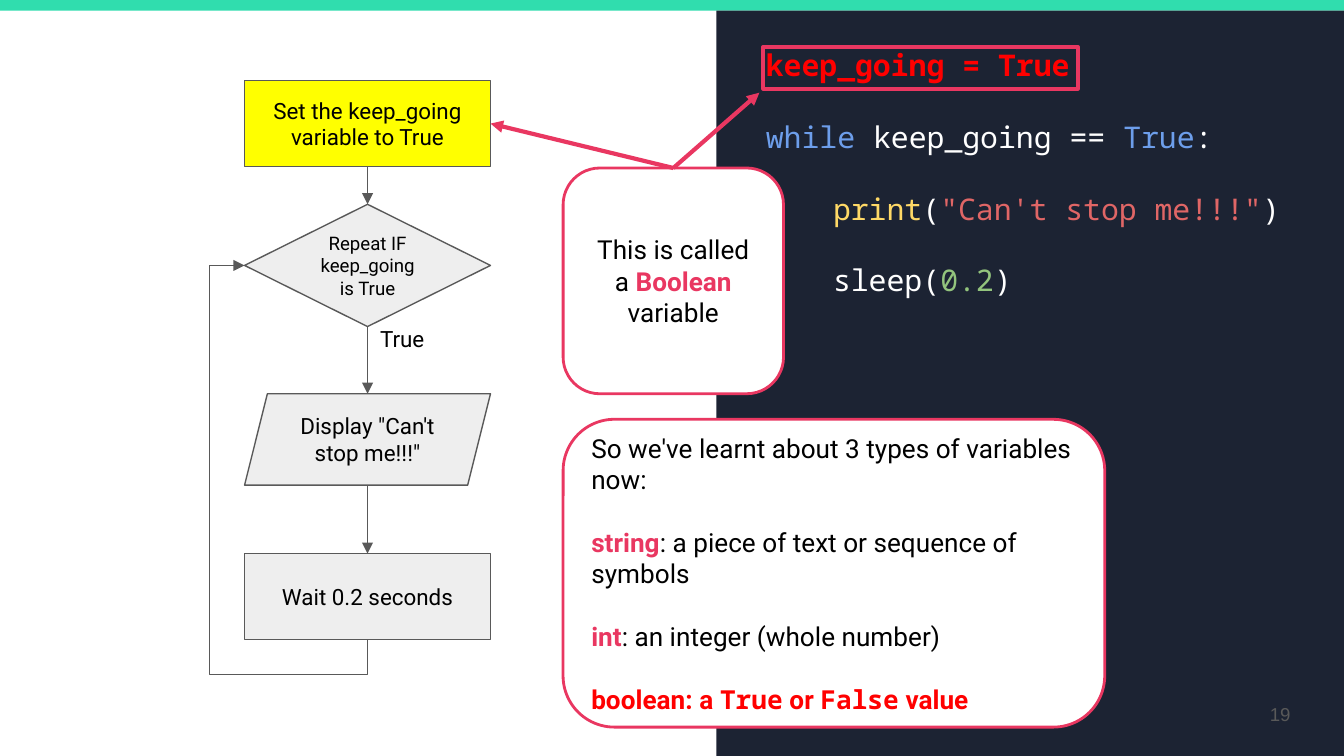
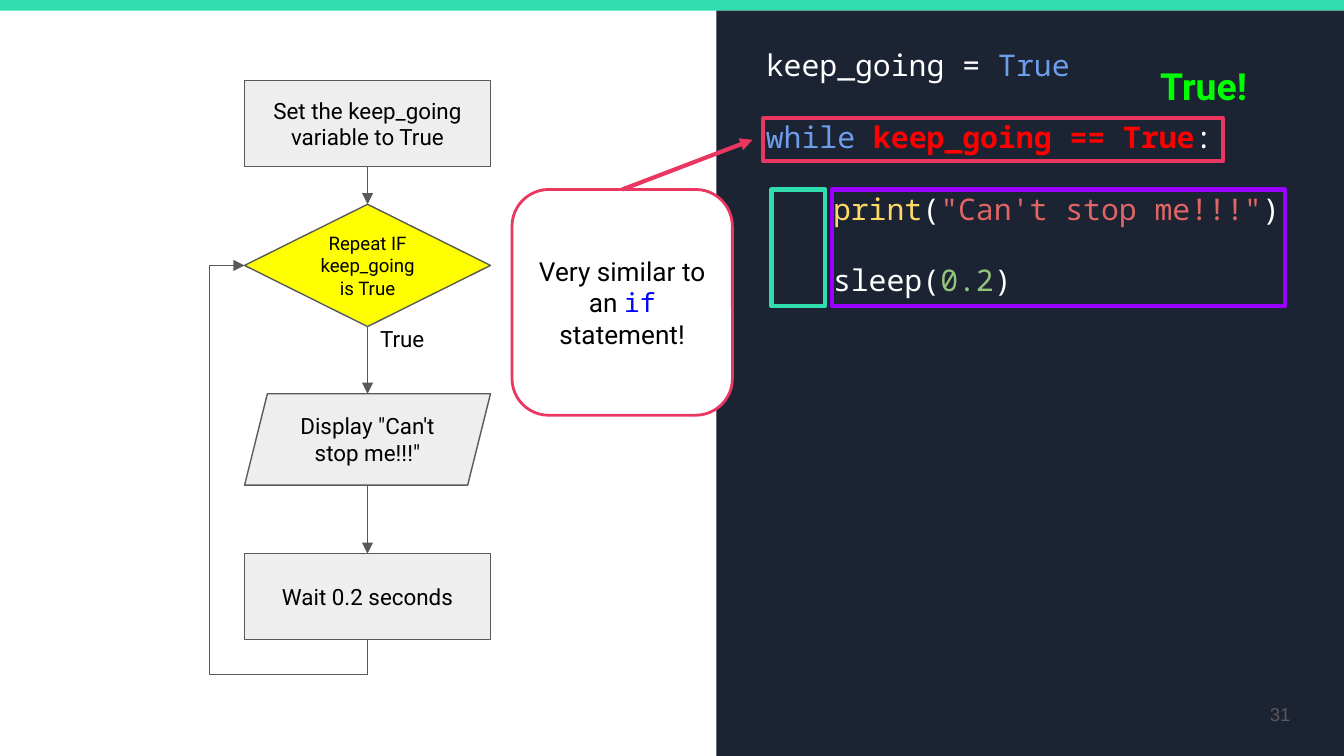
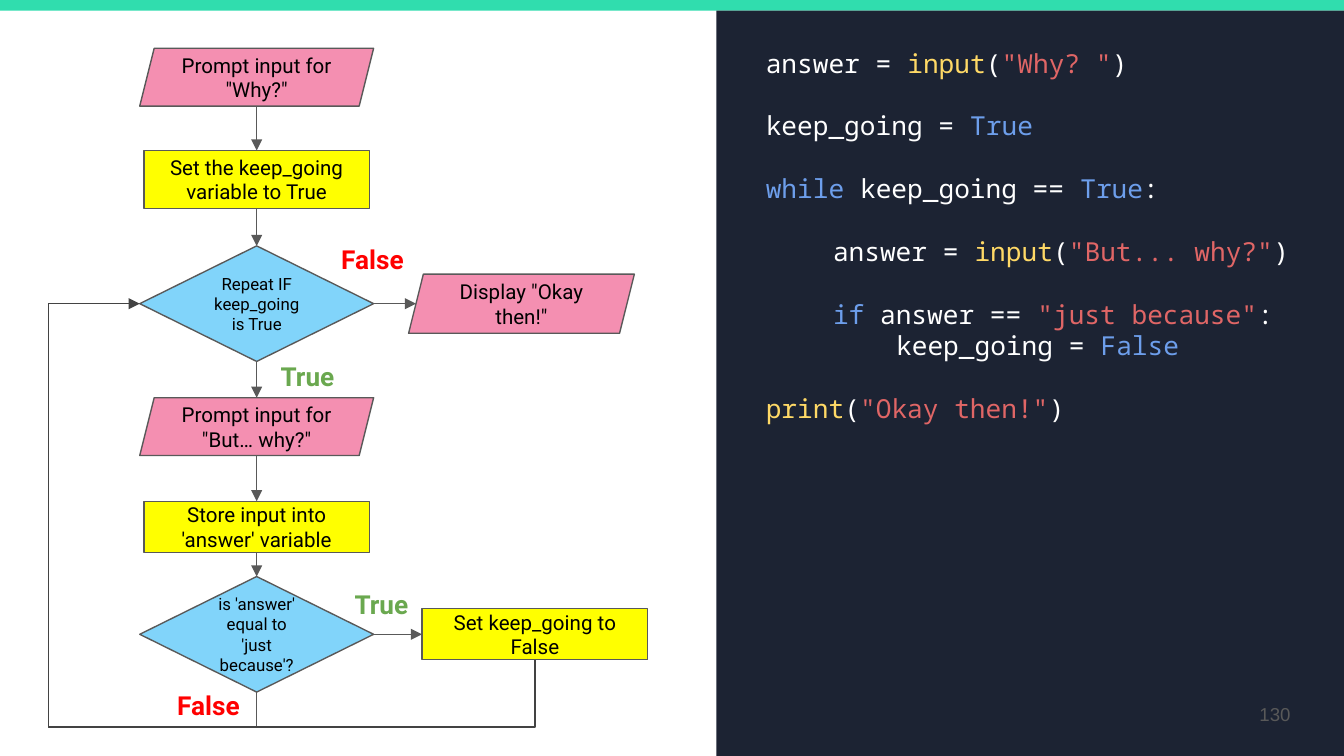
from dataclasses import dataclass
from functools import partial
from itertools import pairwise

from lxml import etree
from pptx import Presentation
from pptx.dml.color import RGBColor
from pptx.enum.shapes import MSO_CONNECTOR, MSO_SHAPE
from pptx.enum.text import MSO_ANCHOR, PP_ALIGN
from pptx.oxml.ns import qn
from pptx.util import Inches, Pt

RECTANGLE = MSO_SHAPE.RECTANGLE
ROUNDED = MSO_SHAPE.ROUNDED_RECTANGLE
DIAMOND = MSO_SHAPE.DIAMOND
SLANTED = MSO_SHAPE.PARALLELOGRAM
STRAIGHT, ELBOW = MSO_CONNECTOR.STRAIGHT, MSO_CONNECTOR.ELBOW
LEFT, CENTER, RIGHT = PP_ALIGN.LEFT, PP_ALIGN.CENTER, PP_ALIGN.RIGHT
ANCHOR_TOP, ANCHOR_MIDDLE = MSO_ANCHOR.TOP, MSO_ANCHOR.MIDDLE
TOP_SIDE, LEFT_SIDE, BOTTOM_SIDE, RIGHT_SIDE = range(4)


@dataclass(frozen=True)
class Theme:
    """Colours, fonts, type sizes and line widths of the deck."""

    white: str = "FFFFFF"
    black: str = "000000"
    band: str = "30DDAE"
    panel: str = "1C2333"
    outline: str = "595959"
    loop_line: str = "434343"
    accent: str = "E93761"
    purple: str = "9900FF"
    neutral: str = "EEEEEE"
    active: str = "FFFF00"
    decision: str = "81D4FA"
    in_out: str = "F48FB1"
    red: str = "FF0000"
    lime: str = "00FF00"
    green: str = "6AA84F"
    blue: str = "0000FF"
    keyword: str = "6D9EEB"
    call: str = "FFD966"
    string: str = "E06666"
    number: str = "93C47D"
    body_font: str = "Roboto"
    code_font: str = "Noto Sans Mono"
    number_font: str = "Arial"
    number_size: int = 10
    step_size: int = 12
    small_step_size: int = 11
    callout_size: int = 14
    shout_size: int = 20
    code_size: int = 16
    small_code_size: int = 14
    thin: float = 0.75
    medium: float = 1.5
    thick: float = 2.25
    line_pitch: float = 1.2


THEME = Theme()


@dataclass(frozen=True)
class Span:
    """A stretch of text that may differ from its paragraph."""

    text: str
    color: str | None = None
    bold: bool | None = None
    font: str | None = None


@dataclass(frozen=True)
class Para:
    """A paragraph: its spans, left indent in inches and skipped lines before."""

    spans: tuple
    indent: float = 0
    skip: int = 1


@dataclass(frozen=True)
class Style:
    """The look that all paragraphs of a text share."""

    size: float
    color: str = THEME.black
    font: str = THEME.body_font
    bold: bool = False
    align: PP_ALIGN = LEFT


keyword = partial(Span, color=THEME.keyword)
call = partial(Span, color=THEME.call)
string = partial(Span, color=THEME.string)
alert = partial(Span, color=THEME.red, bold=True)
term = partial(Span, color=THEME.accent, bold=True)

LOOP_BODY = [
    Para((call("print"), "(", string("\"Can't stop me!!!\""), ")"), 0.5),
    Para(("sleep(", Span("0.2", THEME.number), ")"), 0.5),
]


def apply_font(font, color=None, bold=None, name=None, size=None):
    """Set the font properties that are given."""
    if color:
        font.color.rgb = RGBColor.from_string(color)
    if bold is not None:
        font.bold = bold
    if name:
        font.name = name
    if size:
        font.size = Pt(size)


def write(shape, paras, style, anchor=ANCHOR_MIDDLE):
    """Fill a shape with paragraphs in one style."""
    frame = shape.text_frame
    frame.word_wrap = True
    frame.vertical_anchor = anchor
    frame.margin_left = frame.margin_right = Inches(0.1)
    frame.margin_top = frame.margin_bottom = Inches(0.1)
    for index, para in enumerate(paras):
        paragraph = frame.add_paragraph() if index else frame.paragraphs[0]
        paragraph.alignment = style.align
        if index and para.skip:
            paragraph.space_before = Pt(round(para.skip * style.size * THEME.line_pitch, 1))
        if para.indent:
            paragraph._p.get_or_add_pPr().set("marL", str(Inches(para.indent)))
        apply_font(paragraph.font, style.color, style.bold, style.font, style.size)
        for item in para.spans:
            span = Span(item) if isinstance(item, str) else item
            run = paragraph.add_run()
            run.text = span.text
            apply_font(run.font, span.color, span.bold, span.font)


def add_box(page, kind, place, fill=None, line=None, width=THEME.thin):
    """Add a preset shape at left, top, width, height."""
    box = page.shapes.add_shape(kind, *map(Inches, place))
    box.shadow.inherit = False
    if fill:
        box.fill.solid()
        box.fill.fore_color.rgb = RGBColor.from_string(fill)
    else:
        box.fill.background()
    if line:
        box.line.color.rgb = RGBColor.from_string(line)
        box.line.width = Pt(width)
    else:
        box.line.fill.background()
    return box


def add_frame(page, place, color=THEME.accent):
    """Outline a part of the code."""
    add_box(page, RECTANGLE, place, line=color, width=THEME.thick)


def add_text(page, place, paras, style, anchor=ANCHOR_TOP):
    """Add a text box."""
    box = page.shapes.add_textbox(*map(Inches, place))
    write(box, paras, style, anchor)


def add_label(page, place, text, color=THEME.black, size=THEME.callout_size, bold=True, align=LEFT):
    """Add a short one-line label."""
    add_text(page, place, [Para((text,))], Style(size, color, bold=bold, align=align))


def add_step(page, kind, place, text, fill, size):
    """Add a flowchart step; decisions are set two points smaller."""
    step = add_box(page, kind, place, fill, THEME.outline)
    size = size - 2 if kind == DIAMOND else size
    write(step, [Para((text,))], Style(size, align=CENTER))
    return step


def add_callout(page, place, paras, align=CENTER):
    """Add a rounded callout with an accent outline."""
    callout = add_box(page, ROUNDED, place, THEME.white, THEME.accent, THEME.medium)
    write(callout, paras, Style(THEME.callout_size, align=align))
    return callout


def style_line(connector, color, width, arrow=True):
    """Give a connector its line, arrowhead and no shadow."""
    connector.line.color.rgb = RGBColor.from_string(color)
    connector.line.width = Pt(width)
    if arrow:
        etree.SubElement(connector.line._get_or_add_ln(), qn("a:tailEnd"), type="triangle")
    etree.SubElement(connector._element.spPr, qn("a:effectLst"))


def side_point(shape, side):
    """Return the middle of a shape's side."""
    slant = 0
    if shape.auto_shape_type == SLANTED:
        slant = int(shape.adjustments[0] * min(shape.width, shape.height) / 2)
    middle_x = shape.left + shape.width // 2
    middle_y = shape.top + shape.height // 2
    return {
        TOP_SIDE: (middle_x, shape.top),
        LEFT_SIDE: (shape.left + slant, middle_y),
        BOTTOM_SIDE: (middle_x, shape.top + shape.height),
        RIGHT_SIDE: (shape.left + shape.width - slant, middle_y),
    }[side]


def add_arrow(page, start, start_side, end, end_side, color=THEME.outline, width=THEME.thin):
    """Draw a straight arrow between two sides, joined where sides are plain."""
    connector = page.shapes.add_connector(
        STRAIGHT, *side_point(start, start_side), *side_point(end, end_side)
    )
    if start.auto_shape_type != SLANTED:
        connector.begin_connect(start, start_side)
    if end.auto_shape_type != SLANTED:
        connector.end_connect(end, end_side)
    style_line(connector, color, width)


def add_pointer(page, callout, target):
    """Point from the top of a callout to a free place."""
    connector = page.shapes.add_connector(
        STRAIGHT, *side_point(callout, TOP_SIDE), *map(Inches, target)
    )
    connector.begin_connect(callout, TOP_SIDE)
    style_line(connector, THEME.accent, THEME.thick)


def add_loop(page, start, end, lane_x, lane_y, color=THEME.outline, arrow=True):
    """Lead from below one step, along two lanes, to the left of an earlier step."""
    start_x, start_y = side_point(start, BOTTOM_SIDE)
    end_x, end_y = side_point(end, LEFT_SIDE)
    rise, run = start_y - end_y, start_x - end_x
    left = (start_x + end_x - rise) // 2
    top = (start_y + end_y - run) // 2
    connector = page.shapes.add_connector(ELBOW, left, top, left + rise, top + run)
    properties = connector._element.spPr
    properties.xfrm.set("rot", "5400000")
    properties.xfrm.set("flipH", "1")
    geometry = properties.find(qn("a:prstGeom"))
    geometry.set("prst", "bentConnector4")
    guides = geometry.get_or_add_avLst()
    bends = (-(Inches(lane_y) - start_y) / rise, 1 + (end_x - Inches(lane_x)) / run)
    for number, bend in enumerate(bends, 1):
        etree.SubElement(
            guides, qn("a:gd"), name=f"adj{number}", fmla=f"val {round(bend * 100000)}"
        )
    style_line(connector, color, THEME.thin, arrow)


def add_page(deck, number, code, code_size):
    """Add a page with its band, code panel, code and number."""
    page = deck.slides.add_slide(deck.slide_layouts[6])
    add_box(page, RECTANGLE, (-0.01, 0, 10.02, 0.08), THEME.band)
    add_box(page, RECTANGLE, (5.33, 0.08, 4.67, 5.55), THEME.panel)
    add_text(page, (5.6, 0.25, 4.1, 4.85), code, Style(code_size, THEME.white, THEME.code_font))
    number_style = Style(THEME.number_size, THEME.outline, THEME.number_font, align=RIGHT)
    add_text(page, (9.1, 5.1, 0.6, 0.43), [Para((str(number),))], number_style, ANCHOR_MIDDLE)
    return page


def add_while_chart(page, active):
    """Draw the keep_going flowchart, with one step active, and return its steps."""
    content = [
        (RECTANGLE, 0.6, 0.64, "Set the keep_going variable to True"),
        (DIAMOND, 1.52, 0.91, "Repeat IF keep_going is True"),
        (SLANTED, 2.93, 0.68, "Display \"Can't stop me!!!\""),
        (RECTANGLE, 4.12, 0.64, "Wait 0.2 seconds"),
    ]
    steps = []
    for index, (kind, top, height, text) in enumerate(content):
        fill = THEME.active if index == active else THEME.neutral
        place = (1.82, top, 1.83, height)
        steps.append(add_step(page, kind, place, text, fill, THEME.step_size))
    for upper, lower in pairwise(steps):
        add_arrow(page, upper, BOTTOM_SIDE, lower, TOP_SIDE)
    add_loop(page, steps[-1], steps[1], 1.56, 5.02)
    add_label(page, (2.73, 2.32, 0.6, 0.38), "True", size=THEME.step_size, bold=False)
    return steps


def add_boolean_page(deck):
    """Introduce the Boolean variable."""
    code = [
        Para((alert("keep_going = True"),)),
        Para((keyword("while"), " keep_going == ", keyword("True"), ":")),
        *LOOP_BODY,
    ]
    page = add_page(deck, 19, code, THEME.code_size)
    add_frame(page, (5.68, 0.35, 2.34, 0.31))
    steps = add_while_chart(page, 0)
    callout = add_callout(
        page,
        (4.19, 1.25, 1.64, 1.68),
        [Para(("This is called a ", term("Boolean"), " variable"))],
    )
    add_arrow(page, callout, TOP_SIDE, steps[0], RIGHT_SIDE, THEME.accent, THEME.thick)
    add_pointer(page, callout, (5.65, 0.69))
    code_alert = partial(alert, font=THEME.code_font)
    definitions = [
        Para(("So we've learnt about 3 types of variables now:",)),
        Para((term("string"), ": a piece of text or sequence of symbols")),
        Para((term("int"), ": an integer (whole number)")),
        Para((
            alert("boolean: a "), code_alert("True"), alert(" or "),
            code_alert("False"), alert(" value"),
        )),
    ]
    add_callout(page, (4.19, 3.12, 4.03, 2.29), definitions, LEFT)


def add_condition_page(deck):
    """Compare the while condition with an if statement."""
    code = [
        Para(("keep_going = ", keyword("True"))),
        Para((keyword("while "), alert("keep_going == True"), ":")),
        *LOOP_BODY,
    ]
    page = add_page(deck, 31, code, THEME.code_size)
    add_frame(page, (5.68, 0.88, 3.42, 0.32))
    add_frame(page, (5.74, 1.41, 0.4, 0.87), THEME.band)
    add_frame(page, (6.19, 1.41, 3.37, 0.87), THEME.purple)
    add_while_chart(page, 1)
    add_label(page, (8.26, 0.37, 1.39, 0.56), "True!", THEME.lime, THEME.shout_size, align=CENTER)
    code_word = Span("if", THEME.blue, font=THEME.code_font)
    callout = add_callout(
        page,
        (3.81, 1.41, 1.64, 1.68),
        [Para(("Very similar to an ", code_word, " statement!"))],
    )
    add_pointer(page, callout, (5.6, 1.04))


def add_answer_page(deck):
    """Show the loop that ends on the right answer."""
    code = [
        Para(("answer = ", call("input"), "(", string('"Why? "'), ")")),
        Para(("keep_going = ", keyword("True"))),
        Para((keyword("while"), " keep_going == ", keyword("True"), ":")),
        Para(("answer = ", call("input"), "(", string('"But... why?"'), ")"), 0.5),
        Para((keyword("if"), " answer == ", string('"just because"'), ":"), 0.5),
        Para(("keep_going = ", keyword("False")), 0.97, 0),
        Para((call("print"), "(", string('"Okay then!"'), ")")),
    ]
    page = add_page(deck, 130, code, THEME.small_code_size)
    fills = {RECTANGLE: THEME.active, DIAMOND: THEME.decision, SLANTED: THEME.in_out}
    content = [
        (SLANTED, 1.04, 0.36, 1.74, 0.43, 'Prompt input for "Why?"'),
        (RECTANGLE, 1.07, 1.12, 1.68, 0.43, "Set the keep_going variable to True"),
        (DIAMOND, 1.04, 1.83, 1.74, 0.86, "Repeat IF keep_going is True"),
        (SLANTED, 1.04, 2.96, 1.74, 0.43, 'Prompt input for "But… why?"'),
        (RECTANGLE, 1.07, 3.73, 1.68, 0.38, "Store input into 'answer' variable"),
        (DIAMOND, 1.04, 4.29, 1.74, 0.86, "is 'answer' equal to 'just because'?"),
        (SLANTED, 3.04, 2.04, 1.68, 0.44, 'Display "Okay then!"'),
        (RECTANGLE, 3.14, 4.53, 1.68, 0.38, "Set keep_going to False"),
    ]
    steps = [
        add_step(page, kind, place, text, fills[kind], THEME.small_step_size)
        for kind, *place, text in content
    ]
    *column, goodbye, stop = steps
    repeat, check = column[2], column[5]
    for upper, lower in pairwise(column):
        add_arrow(page, upper, BOTTOM_SIDE, lower, TOP_SIDE)
    for decision, branch in ((repeat, goodbye), (check, stop)):
        add_arrow(page, decision, RIGHT_SIDE, branch, LEFT_SIDE)
    add_loop(page, check, repeat, 0.36, 5.41, arrow=False)
    add_loop(page, stop, repeat, 0.36, 5.41, THEME.loop_line)
    for left, top in ((2.44, 1.71), (1.22, 5.03)):
        add_label(page, (left, top, 0.69, 0.38), "False", THEME.red)
    for left, top in ((2.54, 4.28), (1.99, 2.58)):
        add_label(page, (left, top, 0.64, 0.38), "True", THEME.green)


def main():
    """Build and save the deck."""
    deck = Presentation()
    deck.slide_width = Inches(10)
    deck.slide_height = deck.slide_width * 9 // 16
    add_boolean_page(deck)
    add_condition_page(deck)
    add_answer_page(deck)
    deck.save("out.pptx")


if __name__ == "__main__":
    main()
